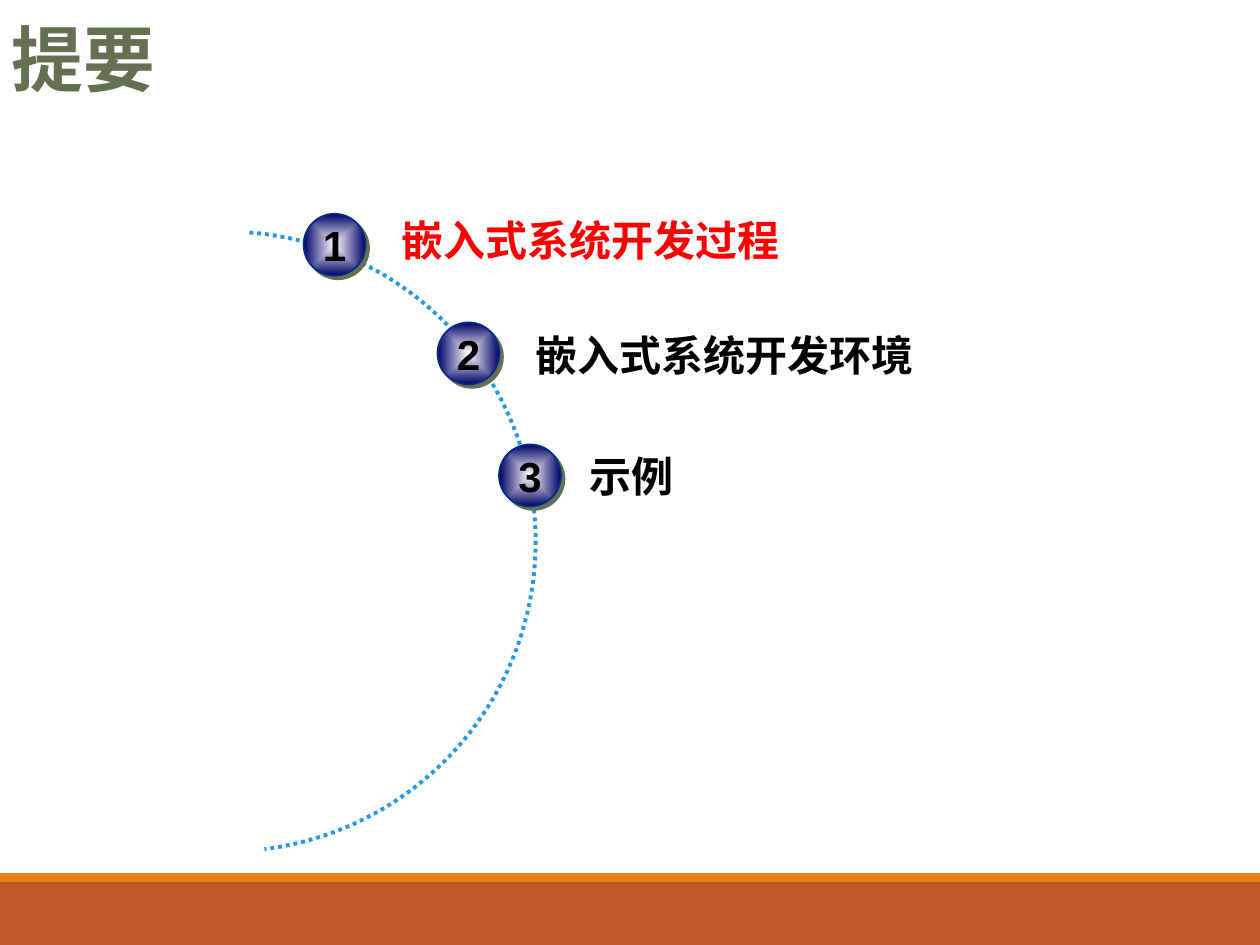
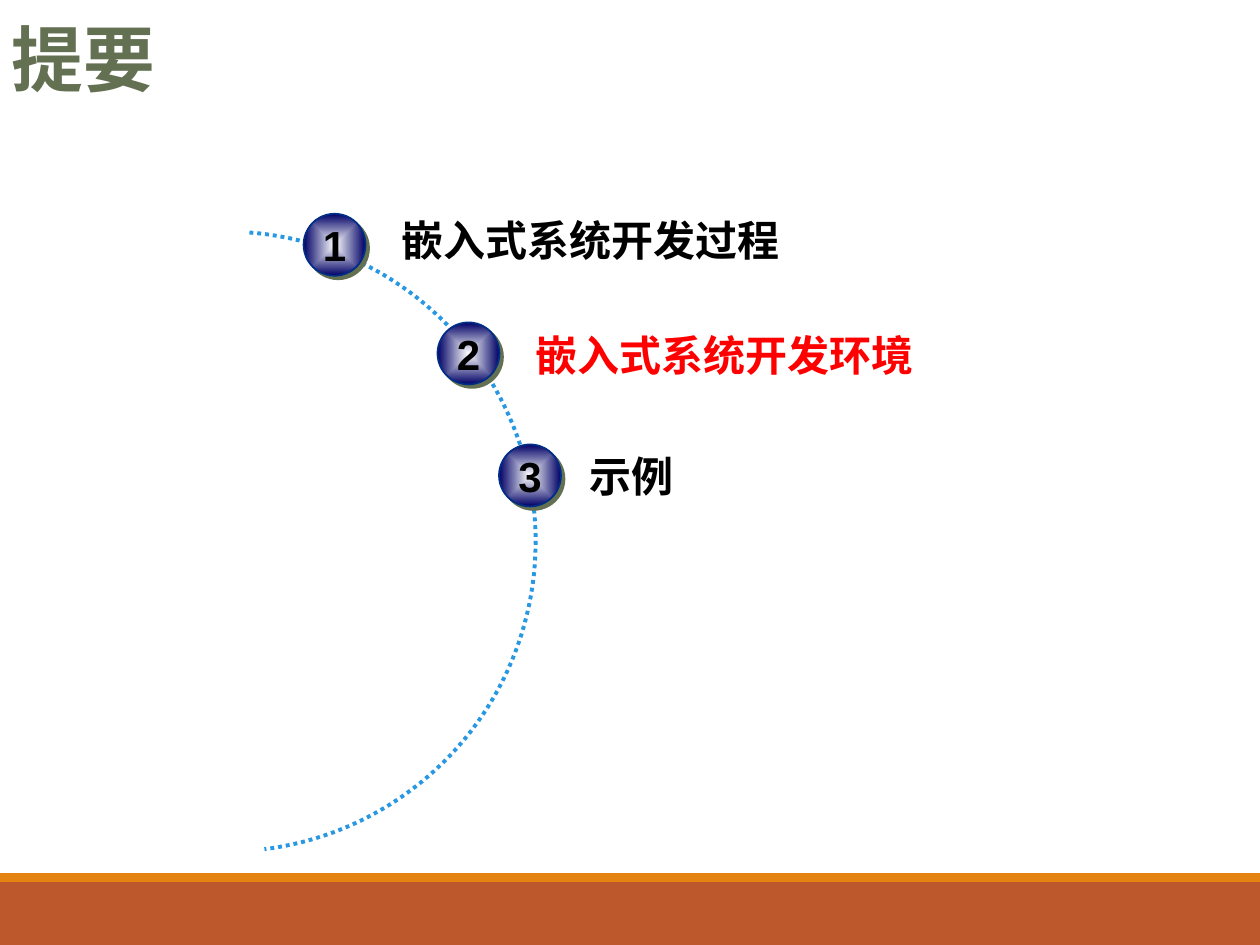
import math
from dataclasses import dataclass

import pptx
import pptx.dml.color
import pptx.enum.dml
import pptx.enum.shapes
import pptx.enum.text
import pptx.oxml
import pptx.oxml.ns
import pptx.shapes.autoshape
import pptx.slide
import pptx.util
from pptx.util import Cm

# Shared look
OLIVE, BLACK, RED = "637052", "000000", "FF0000"
RUST, ORANGE, ARC_BLUE = "BD582C", "E48312", "2998E3"
BALL_CENTRE, BALL_EDGE, BALL_LINE = "FFFFFF", "000066", "002D86"
CHINESE_FONT, NUMBER_FONT = "Noto Sans CJK SC", "Arial"
BALL_SIZE = 1.25
DRAWING_NS = pptx.oxml.ns.nsdecls("a")


@dataclass(frozen=True)
class Box:
    """A rectangle in centimetres."""
    left: float
    top: float
    width: float
    height: float

    def lengths(self) -> tuple[Cm, Cm, Cm, Cm]:
        return Cm(self.left), Cm(self.top), Cm(self.width), Cm(self.height)


@dataclass(frozen=True)
class Band:
    box: Box
    color: str


@dataclass(frozen=True)
class Topic:
    text: str
    ball_left: float
    ball_top: float
    label: Box


BANDS = [
    Band(Box(0, 17.78, 25.4, 1.27), RUST),
    Band(Box(0, 17.6, 25.4, 0.18), ORANGE),
]
TOPICS = [
    Topic("嵌入式系统开发过程", 6.12, 4.31, Box(7.85, 4.31, 14.94, 1.25)),
    Topic("嵌入式系统开发环境", 8.82, 6.5, Box(10.56, 6.62, 12.93, 1.25)),
    Topic("示例", 10.06, 8.96, Box(11.65, 9.06, 11.94, 1.25)),
]


def rgb(color: str) -> pptx.dml.color.RGBColor:
    return pptx.dml.color.RGBColor.from_string(color)


def style_text(frame: pptx.text.text.TextFrame, text: str, size: float,
               color: str, font: str) -> None:
    frame.text = text
    span = frame.paragraphs[0].runs[0]
    span.font.size = pptx.util.Pt(size)
    span.font.bold = True
    span.font.color.rgb = rgb(color)
    span.font.name = font
    # The East Asian typeface has no public property
    span.font._element.append(
        pptx.oxml.parse_xml(f'<a:ea {DRAWING_NS} typeface="{font}"/>'))


def add_label(page: pptx.slide.Slide, box: Box, text: str, size: float,
              color: str, anchor: pptx.enum.text.MSO_ANCHOR) -> None:
    frame = page.shapes.add_textbox(*box.lengths()).text_frame
    frame.word_wrap = True
    frame.vertical_anchor = anchor
    frame.margin_left = frame.margin_right = Cm(0.24)
    frame.margin_top = frame.margin_bottom = Cm(0.13)
    style_text(frame, text, size, color, CHINESE_FONT)
    frame.paragraphs[0].line_spacing = 0.9


def add_band(page: pptx.slide.Slide, band: Band) -> None:
    shape = page.shapes.add_shape(
        pptx.enum.shapes.MSO_SHAPE.RECTANGLE, *band.box.lengths())
    shape.shadow.inherit = False
    shape.fill.solid()
    shape.fill.fore_color.rgb = rgb(band.color)
    shape.line.fill.background()


def add_dotted_arc(page: pptx.slide.Slide) -> None:
    """Draw the circular arc that the numbered balls sit on."""
    centre_x, centre_y, radius = 4.55, 10.92, 6.25
    first_angle, last_angle, steps = -85.6, 82.8, 90
    points = []
    for step in range(steps + 1):
        angle = math.radians(
            first_angle + (last_angle - first_angle) * step / steps)
        points.append((Cm(centre_x + radius * math.cos(angle)),
                       Cm(centre_y + radius * math.sin(angle))))
    builder = page.shapes.build_freeform(*points[0])
    builder.add_line_segments(points[1:], close=False)
    arc = builder.convert_to_shape()
    arc.shadow.inherit = False
    arc.fill.background()
    arc.line.color.rgb = rgb(ARC_BLUE)
    arc.line.width = pptx.util.Pt(2.25)
    arc.line.dash_style = pptx.enum.dml.MSO_LINE.ROUND_DOT


def shade_ball(ball: pptx.shapes.autoshape.Shape) -> None:
    """Give a ball its centred gradient and its hard offset shadow."""
    ball.fill.gradient()
    for stop, color in zip(ball.fill.gradient_stops, (BALL_CENTRE, BALL_EDGE)):
        stop.color.rgb = rgb(color)
    properties = ball.element.spPr
    linear = properties.find(".//" + pptx.oxml.ns.qn("a:lin"))
    linear.getparent().replace(linear, pptx.oxml.parse_xml(
        f'<a:path {DRAWING_NS} path="shape"><a:fillToRect l="50000" '
        't="50000" r="50000" b="50000"/></a:path>'))
    ball.shadow.inherit = False
    properties.find(pptx.oxml.ns.qn("a:effectLst")).append(
        pptx.oxml.parse_xml(
            f'<a:outerShdw {DRAWING_NS} dist="{pptx.util.Pt(2.8)}" '
            'dir="2700000" algn="ctr" rotWithShape="0">'
            f'<a:srgbClr val="{OLIVE}"/></a:outerShdw>'))


def add_ball(page: pptx.slide.Slide, topic: Topic, number: int) -> None:
    box = Box(topic.ball_left, topic.ball_top, BALL_SIZE, BALL_SIZE)
    ball = page.shapes.add_shape(
        pptx.enum.shapes.MSO_SHAPE.OVAL, *box.lengths())
    ball.line.color.rgb = rgb(BALL_LINE)
    ball.line.width = pptx.util.Pt(1)
    shade_ball(ball)
    frame = ball.text_frame
    frame.word_wrap = False
    frame.vertical_anchor = pptx.enum.text.MSO_ANCHOR.MIDDLE
    frame.margin_left = frame.margin_right = 0
    frame.margin_top = frame.margin_bottom = 0
    style_text(frame, str(number), 24, BLACK, NUMBER_FONT)
    frame.paragraphs[0].alignment = pptx.enum.text.PP_ALIGN.CENTER


def add_outline_page(deck: pptx.presentation.Presentation,
                     current: int) -> None:
    """Add the outline with the current topic number in red."""
    page = deck.slides.add_slide(deck.slide_layouts[6])
    for band in BANDS:
        add_band(page, band)
    add_label(page, Box(0, 0, 21.03, 2.18), "提要", 41, OLIVE,
              pptx.enum.text.MSO_ANCHOR.BOTTOM)
    add_dotted_arc(page)
    for number, topic in enumerate(TOPICS, start=1):
        add_ball(page, topic, number)
        add_label(page, topic.label, topic.text, 24,
                  RED if number == current else BLACK,
                  pptx.enum.text.MSO_ANCHOR.TOP)


def main() -> None:
    deck = pptx.Presentation()
    deck.slide_width, deck.slide_height = Cm(25.4), Cm(19.05)
    for current in (1, 2):
        add_outline_page(deck, current)
    deck.save("out.pptx")


if __name__ == "__main__":
    main()
